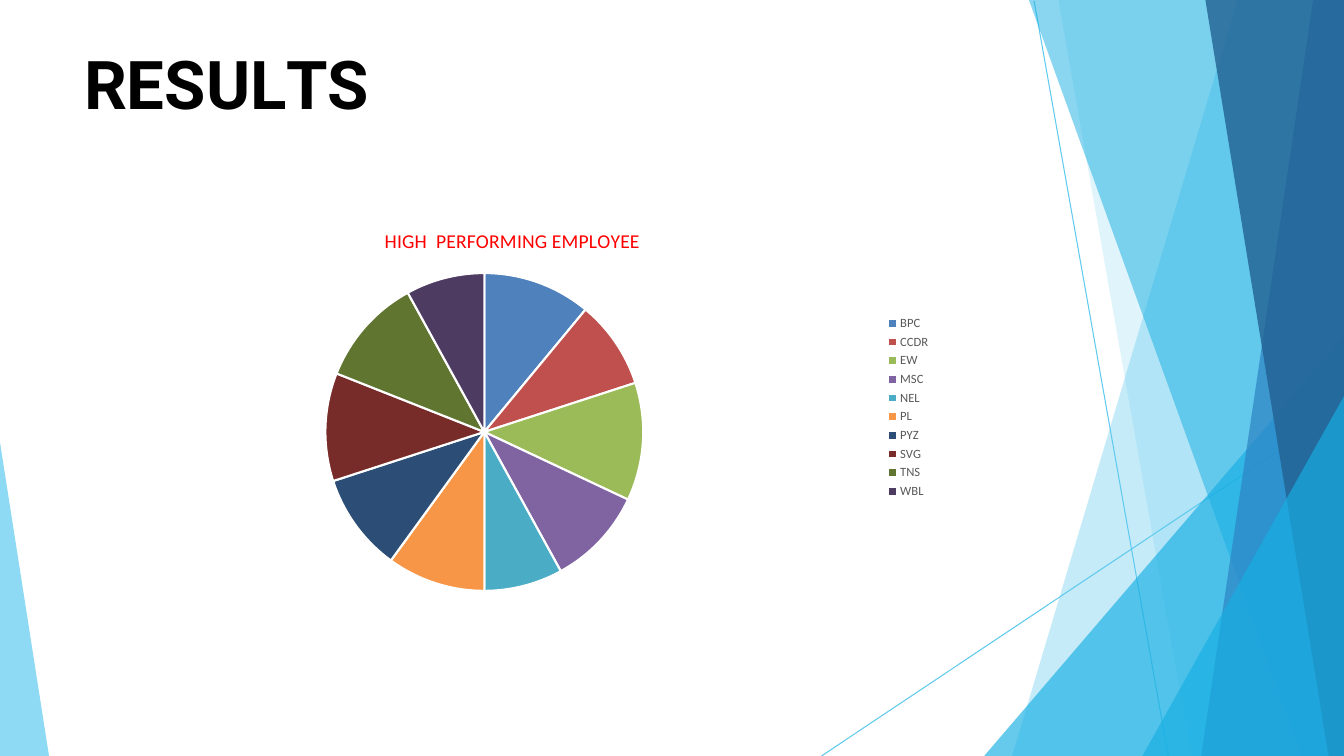
import pptx
import pptx.chart.data
import pptx.dml.color
import pptx.enum.chart
import pptx.enum.shapes
import pptx.oxml
import pptx.oxml.ns
import pptx.util
from lxml import etree

Pt = pptx.util.Pt
WIDTH, HEIGHT = 960, 540
COLORS = {
    "sky": "5FCAEE", "cyan": "17AFE3", "blue": "2D83C3", "navy": "226192",
    "black": "000000", "white": "FFFFFF", "red": "FF0000", "gray": "595959",
}
SLICES = [
    ("BPC", 11, "4F81BD"), ("CCDR", 9, "C0504D"), ("EW", 12, "9BBB59"),
    ("MSC", 10, "8064A2"), ("NEL", 8, "4BACC6"), ("PL", 10, "F79646"),
    ("PYZ", 10, "2C4D75"), ("SVG", 11, "772C2A"), ("TNS", 11, "5F7530"),
    ("WBL", 8, "4D3B62"),
]


def rgb(value):
    return pptx.dml.color.RGBColor.from_string(value)


def style_font(font, name, size, color, bold=False):
    font.name = name
    font.size = Pt(size)
    font.bold = bold
    font.color.rgb = rgb(color)


presentation = pptx.Presentation()
presentation.slide_width = Pt(WIDTH)
presentation.slide_height = Pt(HEIGHT)
slide = presentation.slides.add_slide(presentation.slide_layouts[6])

for x1, y1, x2, y2 in [(738.7, 0.7, 834.5, HEIGHT), (WIDTH, 290.9, 586.8, HEIGHT)]:
    connector = slide.shapes.add_connector(
        pptx.enum.shapes.MSO_CONNECTOR.STRAIGHT, Pt(x1), Pt(y1), Pt(x2), Pt(y2))
    connector.line.color.rgb = rgb(COLORS["sky"])
    connector.line.width = Pt(0.75)
    etree.SubElement(connector._element.spPr, pptx.oxml.ns.qn("a:effectLst"))

top_right, bottom_right = (WIDTH, 0), (WIDTH, HEIGHT)
facets = [
    ([top_right, (884.2, 0), (722.9, HEIGHT), bottom_right], "sky", 36),
    ([top_right, (756, 0), (851, HEIGHT), bottom_right], "sky", 20),
    ([(WIDTH, 239.8), (703.4, HEIGHT), bottom_right], "cyan", 66),
    ([top_right, (735.1, 0), (929.5, HEIGHT), bottom_right], "cyan", 50),
    ([top_right, (938.2, 0), (858.2, HEIGHT), bottom_right], "blue", 70),
    ([top_right, (861.1, 0), (949, HEIGHT), bottom_right], "navy", 80),
    ([(WIDTH, 283), (816.5, HEIGHT), bottom_right], "cyan", 66),
    ([(0, 316.1), (0, HEIGHT), (35.3, HEIGHT)], "sky", 70),
]
for points, color, opacity in facets:
    builder = slide.shapes.build_freeform(*points[0], scale=Pt(1))
    builder.add_line_segments(points[1:], close=True)
    facet = builder.convert_to_shape()
    facet.shadow.inherit = False
    facet.line.fill.background()
    facet.fill.solid()
    facet.fill.fore_color.rgb = rgb(COLORS[color])
    color_element = facet._element.spPr.find(".//" + pptx.oxml.ns.qn("a:srgbClr"))
    alpha = etree.SubElement(color_element, pptx.oxml.ns.qn("a:alpha"))
    alpha.set("val", str(opacity * 1000))

title = slide.shapes.add_textbox(Pt(60), Pt(30), Pt(252.7), Pt(60))
text_frame = title.text_frame
text_frame.word_wrap = True
text_frame.margin_left = text_frame.margin_right = 0
text_frame.margin_top = text_frame.margin_bottom = 0
paragraph = text_frame.paragraphs[0]
style_font(paragraph.font, "Roboto", 48, COLORS["black"], True)
for text, spacing in [("R", 0), ("E", -40), ("S", 10), ("U", -30), ("L", -400), ("TS", 0)]:
    run = paragraph.add_run()
    run.text = text
    run._r.get_or_add_rPr().set("spc", str(spacing))

names, values, slice_colors = zip(*SLICES)
chart_data = pptx.chart.data.CategoryChartData()
chart_data.categories = names
chart_data.add_series("Series 1", values)
chart = slide.shapes.add_chart(
    pptx.enum.chart.XL_CHART_TYPE.PIE, Pt(60), Pt(150), Pt(612), Pt(282), chart_data).chart
style_font(chart.font, "Calibri", 10, COLORS["black"])

chart.has_title = True
heading = chart.chart_title.text_frame
heading.text = "HIGH  PERFORMING EMPLOYEE"
style_font(heading.paragraphs[0].font, "Calibri", 14, COLORS["red"])
chart.chart_title.include_in_layout = False

chart.has_legend = True
chart.legend.position = pptx.enum.chart.XL_LEGEND_POSITION.RIGHT
chart.legend.include_in_layout = False
style_font(chart.legend.font, "Calibri", 9, COLORS["gray"])

plot = chart.plots[0]
plot.vary_by_categories = True
for index, color in enumerate(slice_colors):
    pie_slice = plot.series[0].points[index].format
    pie_slice.fill.solid()
    pie_slice.fill.fore_color.rgb = rgb(color)
    pie_slice.line.color.rgb = rgb(COLORS["white"])
    pie_slice.line.width = Pt(1.5)

presentation.save("out.pptx")
